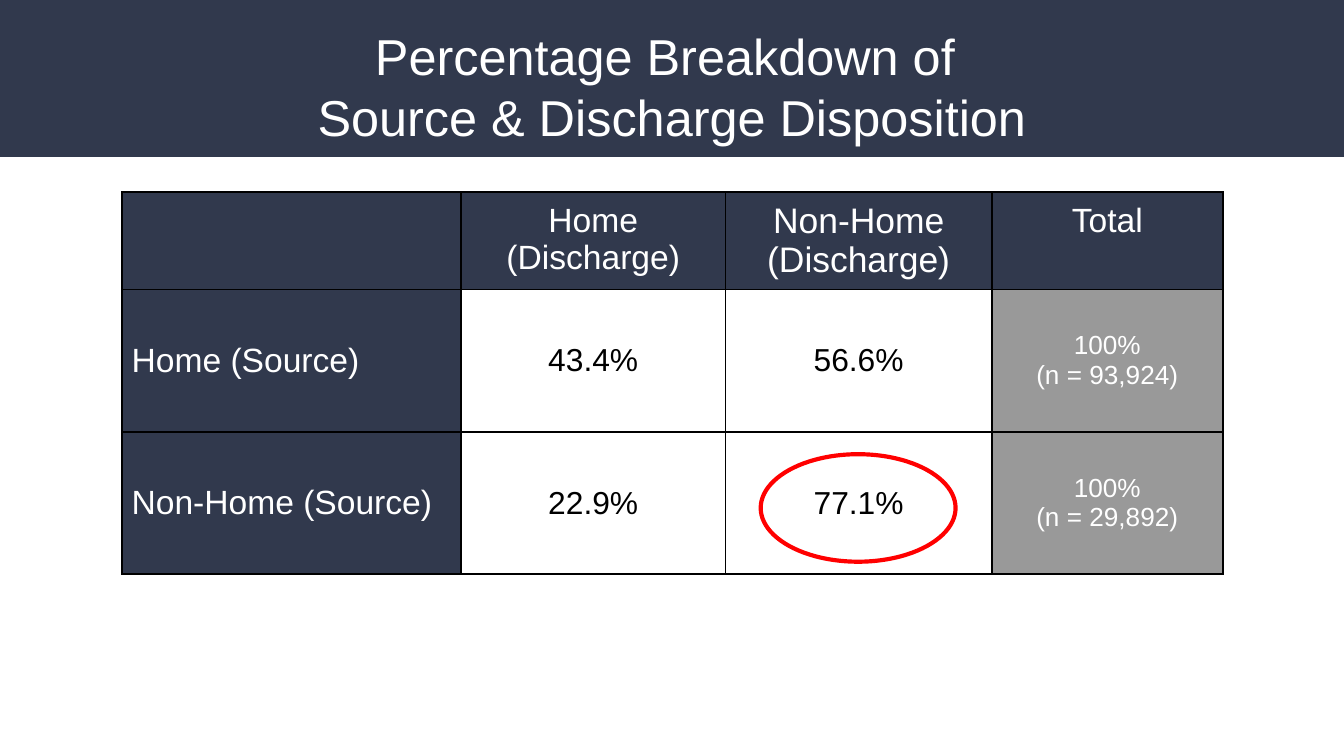
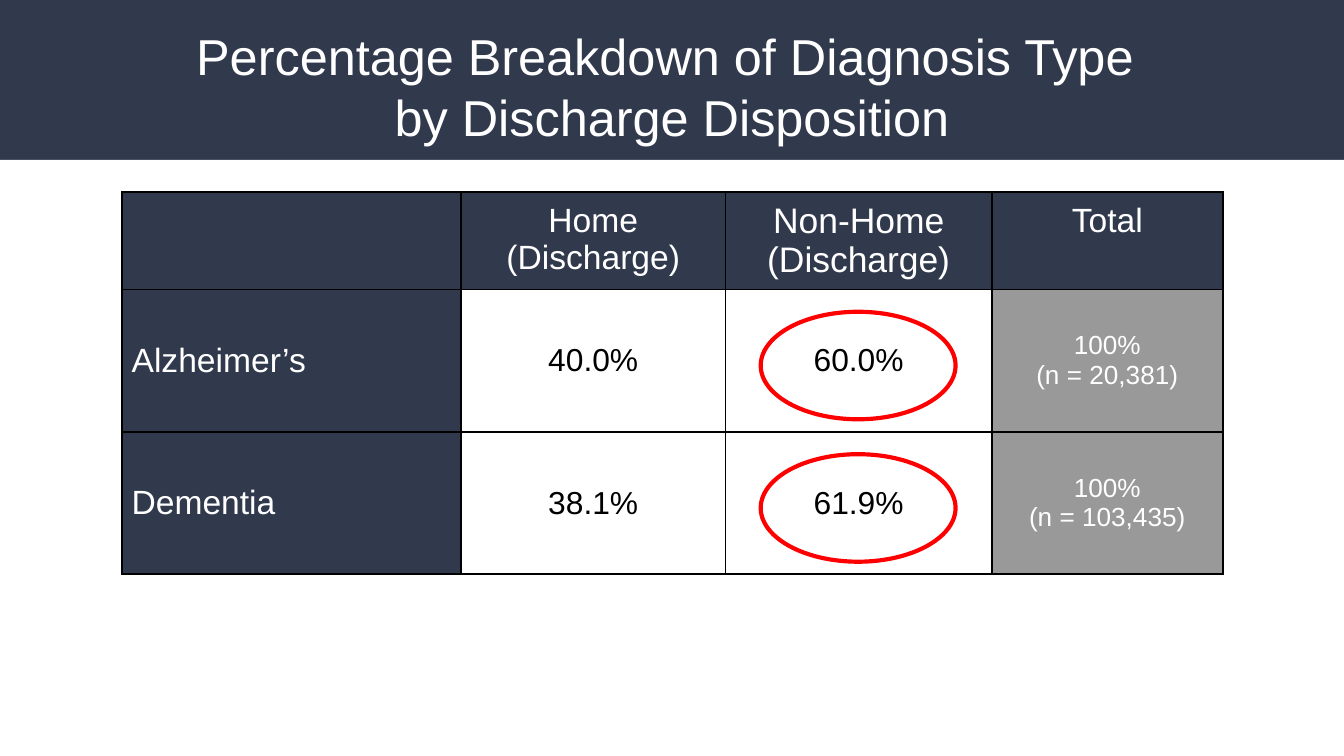
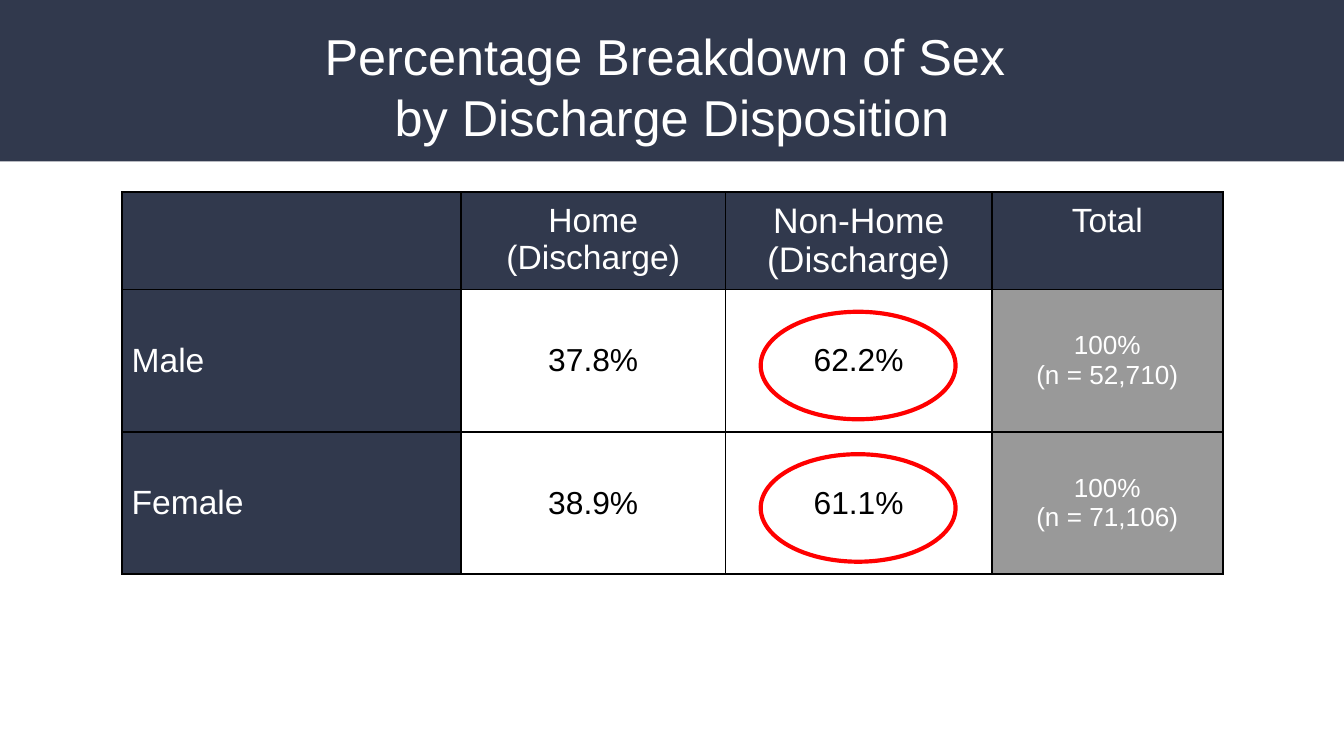
from lxml.etree import SubElement
from pptx import Presentation
from pptx.dml.color import RGBColor
from pptx.enum.shapes import MSO_SHAPE
from pptx.enum.text import MSO_ANCHOR, PP_ALIGN
from pptx.oxml.ns import qn
from pptx.util import Inches, Pt

NAVY, WHITE, BLACK = "31394D", "FFFFFF", "000000"
GRAY, RED = "999999", "FF0000"
FONT = "Arial"
WIDE = 10
TALL = WIDE * 9 / 16
COLS = [2.52, 1.97, 1.98, 1.72]
ROWS = [0.72, 1.06, 1.06]
HEADS = ["", "Home (Discharge)", "Non-Home (Discharge)", "Total"]
SIZES = [18, 18, 19, 18]

# Title, band height, table rows, and the rows whose non-home share is ringed
SLIDES = [
    ("Percentage Breakdown of \vSource & Discharge Disposition", 1.17,
     [["Home (Source)", "43.4%", "56.6%", "100%\v(n = 93,924)"],
      ["Non-Home (Source)", "22.9%", "77.1%", "100%\v(n = 29,892)"]], [2]),
    ("Percentage Breakdown of Diagnosis Type \vby Discharge Disposition", 1.19,
     [["Alzheimer’s", "40.0%", "60.0%", "100%\n(n = 20,381)"],
      ["Dementia", "38.1%", "61.9%", "100%\n(n = 103,435)"]], [1, 2]),
    ("Percentage Breakdown of Sex \vby Discharge Disposition", 1.2,
     [["Male", "37.8%", "62.2%", "100%\n(n = 52,710)"],
      ["Female", "38.9%", "61.1%", "100%\n(n = 71,106)"]], [1, 2]),
]


def rgb(code):
    return RGBColor.from_string(code)


def style(frame, size, color, align=PP_ALIGN.CENTER):
    for para in frame.paragraphs:
        para.alignment = align
        para.font.size = Pt(size)
        for run in para.runs:
            run.font.name = FONT
            run.font.size = Pt(size)
            run.font.color.rgb = rgb(color)


def shape(slide, kind, box, fill=None, line=None):
    item = slide.shapes.add_shape(kind, *map(Inches, box))
    item.shadow.inherit = False
    if fill:
        item.fill.solid()
        item.fill.fore_color.rgb = rgb(fill)
    else:
        item.fill.background()
    if line:
        item.line.color.rgb = rgb(line)
        item.line.width = Pt(2.25)
    else:
        item.line.fill.background()


def header(slide, title, edge):
    # Navy band, covered below its edge by the white panel
    shape(slide, MSO_SHAPE.RECTANGLE, (0, 0, WIDE, 1.4), NAVY)
    shape(slide, MSO_SHAPE.RECTANGLE, (0, edge, WIDE, 4.91 - edge), WHITE)
    # Title
    box = slide.shapes.add_textbox(0, Inches(0.09), Inches(WIDE), Inches(1.11))
    frame = box.text_frame
    frame.word_wrap = True
    frame.margin_left = frame.margin_right = Inches(0.1)
    frame.margin_top = frame.margin_bottom = Inches(0.1)
    frame.text = title
    style(frame, 27, WHITE)


def border(cell):
    props = cell._tc.get_or_add_tcPr()
    for side in ("a:lnL", "a:lnR", "a:lnT", "a:lnB"):
        line = SubElement(props, qn(side), w=str(Pt(1)))
        fill = SubElement(line, qn("a:solidFill"))
        SubElement(fill, qn("a:srgbClr"), val=BLACK)


def look(row, col):
    """Fill, text colour and text size for a cell."""
    if row == 0:
        return NAVY, WHITE, SIZES[col]
    if col == 0:
        return NAVY, WHITE, 18
    if col == 3:
        return GRAY, WHITE, 14
    return WHITE, BLACK, 17


def grid(slide, left, top, data, rings):
    # Table
    table = slide.shapes.add_table(
        len(ROWS), len(COLS), Inches(left), Inches(top),
        Inches(sum(COLS)), Inches(sum(ROWS))).table
    table.first_row = table.horz_banding = False
    for col, width in zip(table.columns, COLS):
        col.width = Inches(width)
    for row, height in zip(table.rows, ROWS):
        row.height = Inches(height)
    for r, texts in enumerate([HEADS] + data):
        for c, text in enumerate(texts):
            cell = table.cell(r, c)
            back, ink, size = look(r, c)
            border(cell)
            cell.fill.solid()
            cell.fill.fore_color.rgb = rgb(back)
            cell.margin_left = cell.margin_right = cell.margin_top = Inches(0.07)
            cell.margin_bottom = Inches(0.07 if r else 0.02)
            cell.vertical_anchor = MSO_ANCHOR.MIDDLE if r else MSO_ANCHOR.TOP
            cell.text_frame.text = text
            align = PP_ALIGN.CENTER if c else PP_ALIGN.LEFT
            style(cell.text_frame, size, ink, align)
    # Red rings in the non-home column
    for r in rings:
        spot = (left + sum(COLS[:2]) + 0.26, top + sum(ROWS[:r]) + 0.17)
        shape(slide, MSO_SHAPE.OVAL, (*spot, 1.45, 0.8), line=RED)


def main():
    deck = Presentation()
    deck.slide_width, deck.slide_height = Inches(WIDE), Inches(TALL)
    for title, edge, data, rings in SLIDES:
        slide = deck.slides.add_slide(deck.slide_layouts[6])
        header(slide, title, edge)
        grid(slide, 0.91, 1.43, data, rings)
    deck.save("out.pptx")


if __name__ == "__main__":
    main()
